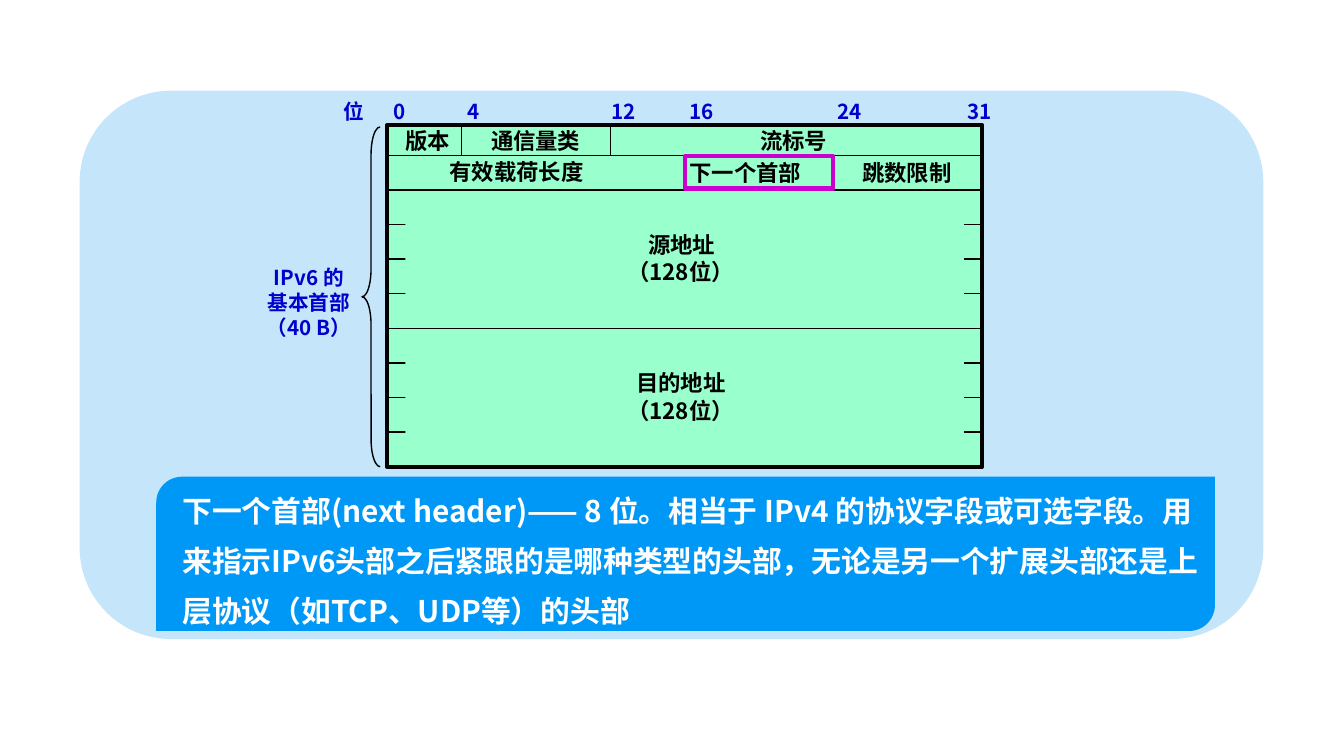
from lxml import etree
from pptx import Presentation
from pptx import util as u
from pptx.dml.color import RGBColor
from pptx.enum import shapes as kinds, text as layout
from pptx.oxml.ns import qn

FONT = "Noto Sans CJK SC"
BLACK, BLUE, WHITE = "000000", "0000CC", "FFFFFF"
GREEN, MAGENTA = "99FFCC", "CC00CC"
SHAPES = kinds.MSO_SHAPE


def color(value):
    return RGBColor.from_string(value)


def add_box(slide, kind, left, top, width, height, fill=None, line=None, weight=1):
    shape = slide.shapes.add_shape(kind, *map(u.Inches, (left, top, width, height)))
    shape.shadow.inherit = False
    if fill:
        shape.fill.solid()
        shape.fill.fore_color.rgb = color(fill)
    else:
        shape.fill.background()
    if line:
        shape.line.color.rgb = color(line)
        shape.line.width = u.Pt(weight)
    else:
        shape.line.fill.background()
    return shape


def add_rule(slide, x1, y1, x2, y2):
    rule = slide.shapes.add_connector(
        kinds.MSO_CONNECTOR.STRAIGHT, *map(u.Inches, (x1, y1, x2, y2)))
    rule.line.color.rgb = color(BLACK)
    rule.line.width = u.Pt(1)
    etree.SubElement(rule.element.spPr, qn("a:effectLst"))


def add_text(slide, wording, left, top, width, height, size, ink, wrap=False):
    box = slide.shapes.add_textbox(*map(u.Inches, (left, top, width, height)))
    frame = box.text_frame
    frame.text = wording
    frame.word_wrap = wrap
    frame.auto_size = layout.MSO_AUTO_SIZE.SHAPE_TO_FIT_TEXT
    if not wrap:
        frame.margin_left = frame.margin_right = u.Inches(0.13)
        frame.margin_top = frame.margin_bottom = u.Inches(0.06)
    for paragraph in frame.paragraphs:
        for run in paragraph.runs:
            run.font.size = u.Pt(size)
            run.font.bold = True
            run.font.name = FONT
            run.font.color.rgb = color(ink)
            east_asian = etree.SubElement(run.font._element, qn("a:ea"))
            east_asian.set("typeface", FONT)
    return frame


def add_field_name(slide, name, left, top):
    add_text(slide, name, left, top, 0.27 + 0.223 * len(name), 0.4, 16, BLACK)


def add_header_diagram(slide, left, top, width, height):
    right, bottom = left + width, top + height
    first_row = 0.3
    row = (height - first_row) / 9
    row_tops = [top + first_row + row * index for index in range(10)]

    def bit_x(bit):
        return left + width * bit / 32

    # Frame and row lines
    add_box(slide, SHAPES.RECTANGLE, left, top, width, height, GREEN, BLACK, 3)
    for y in row_tops:
        add_rule(slide, left, y, right, y)

    # Field separators
    for bit, start, end in [(4, top, row_tops[0]), (12, top, row_tops[0]),
                            (16, row_tops[0], row_tops[1]),
                            (24, row_tops[0], row_tops[1])]:
        add_rule(slide, bit_x(bit), start, bit_x(bit), end)

    # Address fields: only ticks of the inner row lines stay visible
    for name, name_left, y in [("源地址", 6.3, row_tops[1]),
                               ("目的地址", 6.18, row_tops[5])]:
        add_box(slide, SHAPES.RECTANGLE, left + 0.18, y + 0.24, width - 0.36, 0.91, GREEN)
        add_field_name(slide, name, left + name_left - 3.84, y + 0.35)
        add_text(slide, "（128位）", left + 2.25, y + 0.62, 1.36, 0.4, 16, BLACK)

    # Names of the fields in the first two rows
    for name, offset, y in [("版本", 0.05, -0.04), ("通信量类", 0.9, -0.04),
                            ("流标号", 3.57, -0.04), ("有效载荷长度", 0.49, 0.27),
                            ("下一个首部", 2.87, 0.28), ("跳数限制", 4.58, 0.28)]:
        add_field_name(slide, name, left + offset, top + y)

    # Bit scale
    scale_top = top - 0.32
    add_text(slide, "位", left - 0.56, scale_top, 0.47, 0.38, 14.7, BLUE)
    for bit, shift in [(0, 0.07), (4, 0.07), (12, 0.12), (16, 0.08), (24, 0.09), (31, 0.09)]:
        label = str(bit)
        add_text(slide, label, bit_x(bit) - shift, scale_top,
                 0.26 + 0.13 * len(label), 0.38, 14.7, BLUE)

    # Brace with its caption
    brace = add_box(slide, SHAPES.LEFT_BRACE, left - 0.25, top + 0.02, 0.18,
                    height - 0.02, line=BLACK)
    brace.adjustments[0] = 1.517
    caption = add_text(slide, "IPv6 的\n基本首部\n（40 B）", left - 1.34, top + 1.33,
                       1.13, 0.87, 14.7, BLUE)
    for paragraph in caption.paragraphs:
        paragraph.alignment = layout.PP_ALIGN.CENTER

    # Highlighted field
    add_box(slide, SHAPES.RECTANGLE, bit_x(16), row_tops[0] + 0.01,
            bit_x(24) - bit_x(16), 0.32, line=MAGENTA, weight=3)


def add_explanation(slide, left, top, width, height):
    add_box(slide, SHAPES.ROUND_2_DIAG_RECTANGLE, left, top, width, height, "0098F6")
    frame = add_text(
        slide,
        "下一个首部(next header)—— 8 位。相当于 IPv4 的协议字段或可选字段。"
        "用来指示IPv6头部之后紧跟的是哪种类型的头部，无论是另一个扩展头部还是"
        "上层协议（如TCP、UDP等）的头部",
        left + 0.16, top - 0.04, width - 0.18, height + 0.03, 21.3, WHITE, wrap=True)
    frame.paragraphs[0].line_spacing = u.Pt(36)


def main():
    presentation = Presentation()
    presentation.slide_width = u.Inches(13.33)
    presentation.slide_height = u.Inches(7.5)
    slide = presentation.slides.add_slide(presentation.slide_layouts[6])
    add_box(slide, SHAPES.ROUNDED_RECTANGLE, 0.79, 0.9, 11.74, 5.44, "C5E5FB")
    add_header_diagram(slide, 3.84, 1.24, 5.9, 3.39)
    add_explanation(slide, 1.55, 4.73, 10.5, 1.53)
    presentation.save("out.pptx")


if __name__ == "__main__":
    main()
